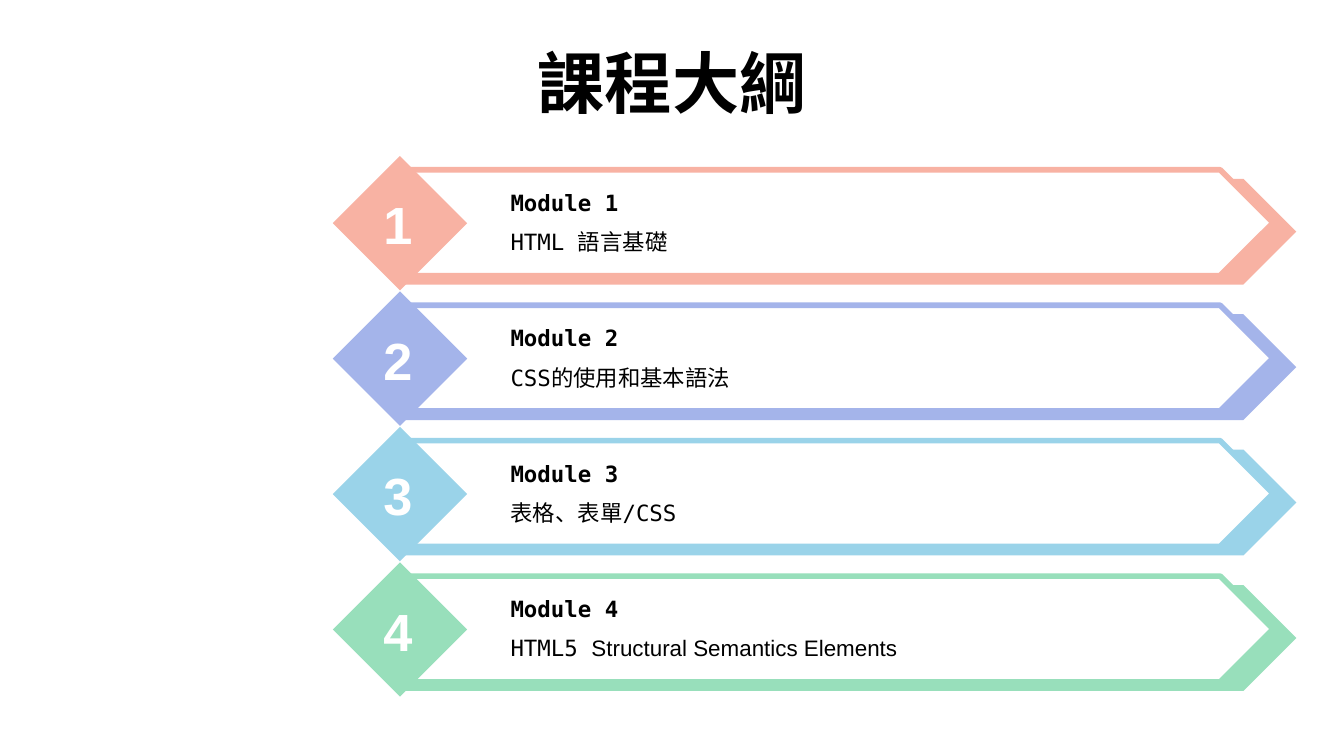
from pptx import Presentation
from pptx.dml.color import RGBColor
from pptx.enum.shapes import MSO_SHAPE
from pptx.enum.text import MSO_ANCHOR, MSO_AUTO_SIZE, PP_ALIGN
from pptx.util import Cm, Pt

PLATE, DIAMOND = MSO_SHAPE.PENTAGON, MSO_SHAPE.DIAMOND
MIDDLE, TOP = MSO_ANCHOR.MIDDLE, MSO_ANCHOR.TOP
CENTER, LEFT = PP_ALIGN.CENTER, PP_ALIGN.LEFT
NO_FIT, GROW = MSO_AUTO_SIZE.NONE, MSO_AUTO_SIZE.SHAPE_TO_FIT_TEXT

BLACK = RGBColor(0x00, 0x00, 0x00)
WHITE = RGBColor(0xFF, 0xFF, 0xFF)
CORAL = RGBColor(0xF8, 0xB2, 0xA3)
PERIWINKLE = RGBColor(0xA4, 0xB4, 0xEA)
SKY = RGBColor(0x9A, 0xD3, 0xE9)
MINT = RGBColor(0x98, 0xDF, 0xBB)
MONO, SANS = "DejaVu Sans Mono", "Arial"

TITLE = "課程大綱"
MODULES = [
    (CORAL, [("HTML 語言基礎", MONO)]),
    (PERIWINKLE, [("CSS的使用和基本語法", MONO)]),
    (SKY, [("表格、表單/CSS", MONO)]),
    (MINT, [("HTML5 ", MONO), ("Structural Semantics Elements", SANS)]),
]

FIRST_TOP, PITCH = 2.95, 2.56


def style(r, font, size, color, bold=False):
    r.font.name, r.font.size, r.font.bold = font, Pt(size), bold
    r.font.color.rgb = color


def add_shape(shapes, kind, x, y, w, h, fill, line=None):
    sp = shapes.add_shape(kind, Cm(x), Cm(y), Cm(w), Cm(h))
    sp.shadow.inherit = False
    sp.fill.solid()
    sp.fill.fore_color.rgb = fill
    if line is None:
        sp.line.fill.background()
    else:
        sp.line.color.rgb = line
        sp.line.width = Pt(3)


def add_text(shapes, x, y, w, h, runs, size, color, bold=False, align=LEFT, anchor=TOP):
    tf = shapes.add_textbox(Cm(x), Cm(y), Cm(w), Cm(h)).text_frame
    tf.word_wrap = True
    tf.auto_size = GROW
    tf.vertical_anchor = anchor
    p = tf.paragraphs[0]
    p.alignment = align
    for text, font in runs:
        r = p.add_run()
        r.text = text
        style(r, font, size, color, bold)


prs = Presentation()
prs.slide_width, prs.slide_height = Cm(25.4), Cm(14.29)
s = prs.slides.add_slide(prs.slide_layouts[5])

title = s.shapes.title
title.left, title.top, title.width, title.height = Cm(0), Cm(0.74), Cm(25.4), Cm(1.6)
tf = title.text_frame
tf.text = TITLE
tf.auto_size = NO_FIT
tf.vertical_anchor = MIDDLE
tf.paragraphs[0].alignment = CENTER
style(tf.paragraphs[0].runs[0], MONO, 36, BLACK, True)

for i, (color, topic) in enumerate(MODULES):
    y = FIRST_TOP + i * PITCH
    number = str(i + 1)

    banner = s.shapes.add_group_shape().shapes
    add_shape(banner, PLATE, 7.63, y + 0.43, 16.87, 2, color)
    add_shape(banner, PLATE, 7.63, y + 0.26, 16.43, 2, WHITE, color)
    add_shape(banner, DIAMOND, 6.29, y, 2.54, 2.54, color)

    add_text(s.shapes, 6.96, y + 0.56, 1.12, 1.45, [(number, SANS)], 28, WHITE, True, CENTER, MIDDLE)

    label = s.shapes.add_group_shape().shapes
    add_text(label, 9.4, y + 0.5, 13.2, 0.77, [("Module " + number, MONO)], 12, BLACK, True)
    add_text(label, 9.4, y + 1.24, 13.2, 0.77, topic, 12, BLACK)

prs.save("out.pptx")
